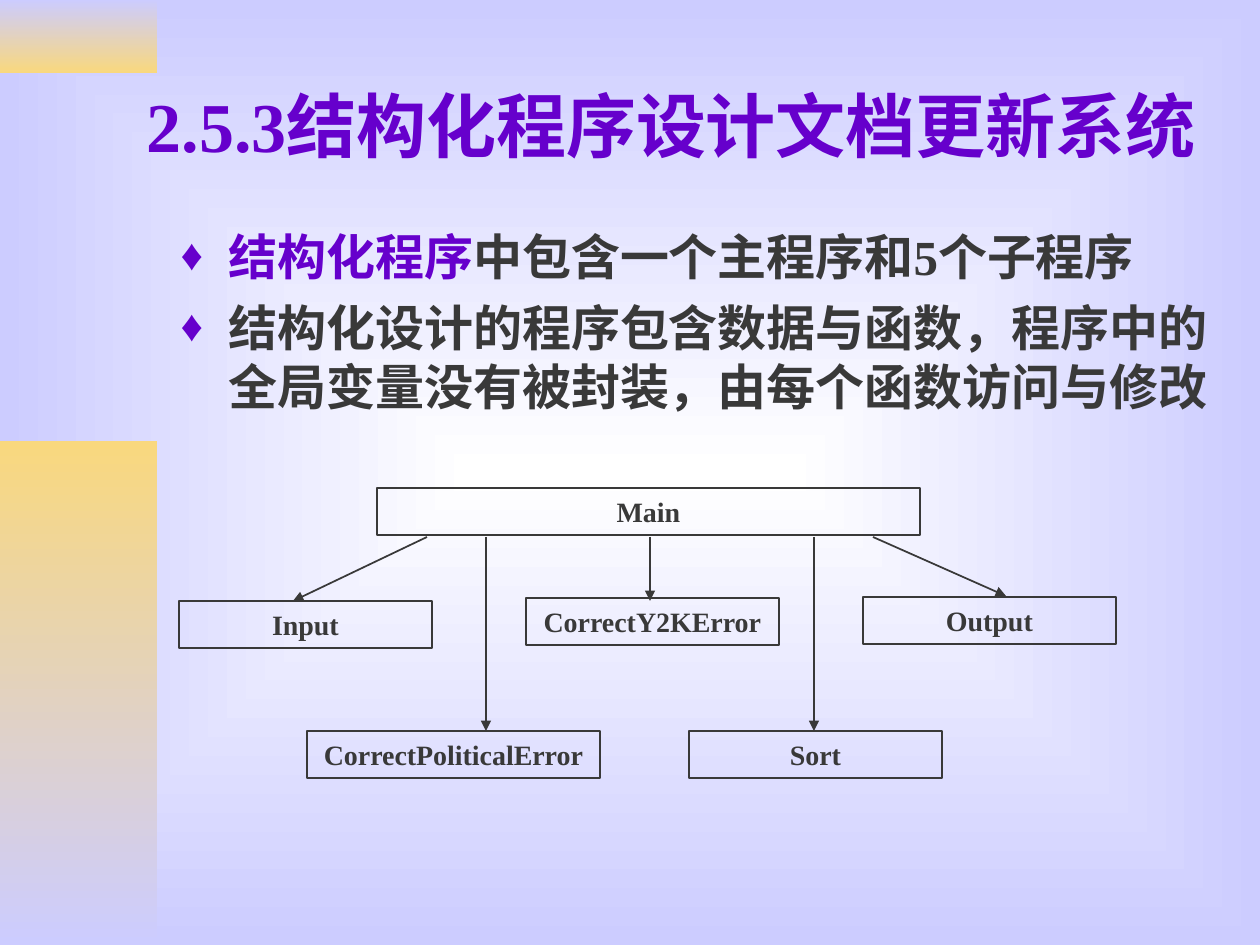
from lxml.etree import SubElement
from pptx import Presentation
from pptx.dml.color import RGBColor
from pptx.enum.shapes import MSO_CONNECTOR, MSO_SHAPE
from pptx.enum.text import MSO_ANCHOR, MSO_AUTO_SIZE, PP_ALIGN
from pptx.oxml.ns import qn
from pptx.util import Pt

SCALE = 914400 / 126
FONT = "Times New Roman"
PURPLE, DARK = "6600CC", "393939"
LILAC, GOLD, WHITE = "CCCCFF", "F9D87E", "FFFFFF"
BOX_H = 47
STEM_Y = 537

BULLETS = [
    [("结构化程序", PURPLE), ("中包含一个主程序和5个子程序", DARK)],
    [("结构化设计的程序包含数据与函数，程序中的全局变量没有被封装，由每个函数访问与修改", DARK)],
]
BOXES = [
    ("Main", 377, 488, 543),
    ("Input", 179, 601, 253),
    ("CorrectPoliticalError", 307, 731, 293),
    ("CorrectY2KError", 526, 598, 253),
    ("Sort", 689, 731, 253),
    ("Output", 863, 597, 253),
]
# start x, end x, end y
ARROWS = [
    (427, 293, 601),
    (486, 486, 731),
    (650, 650, 601),
    (814, 814, 731),
    (873, 1006, 596),
]


def px(*vals):
    """Turn pixel lengths into a list of EMU."""
    return [round(v * SCALE) for v in vals]


def rgb(code):
    return RGBColor.from_string(code)


def place(shape, *rect):
    shape.left, shape.top, shape.width, shape.height = px(*rect)


def add_run(para, text, size, color):
    run = para.add_run()
    run.text = text
    font = run.font
    font.name, font.size, font.bold = FONT, Pt(size), True
    font.color.rgb = rgb(color)


def blend(fill, first, last):
    """Give a fill a gradient of two colours."""
    fill.gradient()
    for stop, color in zip(fill.gradient_stops, (first, last)):
        stop.color.rgb = rgb(color)


def add_ground(slide):
    """Fill the background from a white centre out to lilac edges."""
    blend(slide.background.fill, WHITE, LILAC)
    line = next(slide.element.iter(qn("a:lin")))
    grad = line.getparent()
    grad.remove(line)
    way = SubElement(grad, qn("a:path"))
    way.set("path", "rect")
    focus = SubElement(way, qn("a:fillToRect"))
    for side in "ltrb":
        focus.set(side, "50000")


def add_rect(slide, *rect):
    shape = slide.shapes.add_shape(MSO_SHAPE.RECTANGLE, *px(*rect))
    shape.shadow.inherit = False
    return shape


def add_band(slide, top, height, first, last):
    band = add_rect(slide, 0, top, 157, height)
    blend(band.fill, first, last)
    band.fill.gradient_angle = 270
    band.line.fill.background()


def add_title(slide, text):
    title = slide.shapes.title
    place(title, 134, 42, 1105, 166)
    frame = title.text_frame
    frame.auto_size = MSO_AUTO_SIZE.NONE
    frame.vertical_anchor = MSO_ANCHOR.MIDDLE
    para = frame.paragraphs[0]
    para.alignment = PP_ALIGN.LEFT
    add_run(para, text, 40, PURPLE)


def set_bullet(para):
    props = para._p.get_or_add_pPr()
    indent, = px(48)
    props.set("marL", str(indent))
    props.set("indent", str(-indent))
    color = SubElement(props, qn("a:buClr"))
    SubElement(color, qn("a:srgbClr")).set("val", PURPLE)
    SubElement(props, qn("a:buSzPct")).set("val", "90000")
    SubElement(props, qn("a:buFont")).set("typeface", FONT)
    SubElement(props, qn("a:buChar")).set("char", "♦")


def add_list(slide, items):
    body = slide.placeholders[1]
    place(body, 168, 220, 1071, 227)
    frame = body.text_frame
    frame.auto_size = MSO_AUTO_SIZE.NONE
    for i, runs in enumerate(items):
        para = frame.add_paragraph() if i else frame.paragraphs[0]
        set_bullet(para)
        para.space_before = Pt(7 if i else 0)
        for text, color in runs:
            add_run(para, text, 28, color)


def add_box(slide, text, left, top, width):
    box = add_rect(slide, left, top, width, BOX_H)
    box.fill.background()
    box.line.color.rgb = rgb(DARK)
    box.line.width = Pt(1)
    frame = box.text_frame
    frame.word_wrap = True
    frame.auto_size = MSO_AUTO_SIZE.SHAPE_TO_FIT_TEXT
    para = frame.paragraphs[0]
    para.alignment = PP_ALIGN.CENTER
    add_run(para, text, 16, DARK)


def add_arrow(slide, start, end, bottom):
    arrow = slide.shapes.add_connector(
        MSO_CONNECTOR.STRAIGHT, *px(start, STEM_Y, end, bottom))
    arrow.line.color.rgb = rgb(DARK)
    arrow.line.width = Pt(1)
    SubElement(arrow.line._get_or_add_ln(), qn("a:tailEnd")).set("type", "triangle")
    SubElement(arrow._element.spPr, qn("a:effectLst"))


def main():
    deck = Presentation()
    deck.slide_width, deck.slide_height = px(1260, 945)
    slide = deck.slides.add_slide(deck.slide_layouts[1])
    add_ground(slide)
    add_band(slide, 0, 73, LILAC, GOLD)
    add_band(slide, 441, 504, GOLD, LILAC)
    add_title(slide, "2.5.3结构化程序设计文档更新系统")
    add_list(slide, BULLETS)
    for box in BOXES:
        add_box(slide, *box)
    for arrow in ARROWS:
        add_arrow(slide, *arrow)
    deck.save("out.pptx")


if __name__ == "__main__":
    main()
